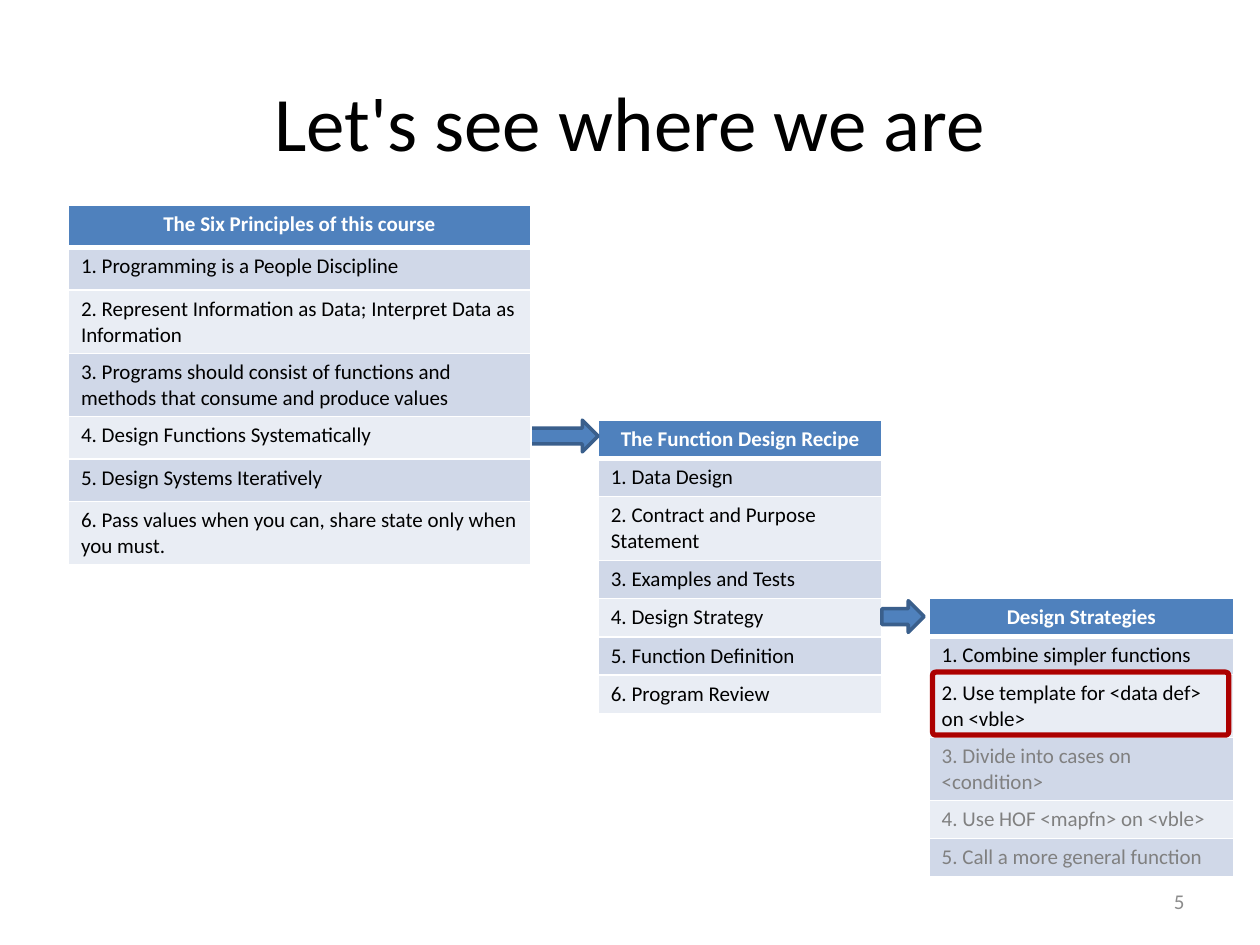
from lxml.etree import SubElement
from pptx import Presentation
from pptx.dml.color import RGBColor
from pptx.enum.shapes import MSO_SHAPE
from pptx.enum.text import MSO_ANCHOR, PP_ALIGN
from pptx.oxml.ns import qn
from pptx.util import Cm, Pt

FONT = "Calibri"
BLUE, WHITE, BLACK, GREY = "4F81BD", "FFFFFF", "000000", "808080"
BANDS = ("E9EDF4", "D0D8E8")  # even rows, odd rows

PRINCIPLES = [
    "The Six Principles of this course",
    "1. Programming is a People Discipline",
    "2. Represent Information as Data; Interpret Data as Information",
    "3. Programs should consist of functions and methods that consume and produce values",
    "4. Design Functions Systematically",
    "5. Design Systems Iteratively",
    "6. Pass values when you can, share state only when you must.",
]
RECIPE = [
    "The Function Design Recipe",
    "1. Data Design",
    "2. Contract and Purpose Statement",
    "3. Examples and Tests",
    "4. Design Strategy",
    "5. Function Definition",
    "6. Program Review",
]
STRATEGIES = [
    "Design Strategies",
    "1. Combine simpler functions",
    "2. Use template for <data def> on <vble>",
    "3. Divide into cases on <condition>",
    "4. Use HOF <mapfn> on <vble>",
    "5. Call a more general function",
]


def rgb(code):
    return RGBColor.from_string(code)


def style(paragraph, size, color, align, bold=False):
    paragraph.alignment = align
    font = paragraph.font
    font.name, font.size, font.bold = FONT, Pt(size), bold
    font.color.rgb = rgb(color)


def add_borders(cell, widths):
    """Draw white borders; widths are points by side letter."""
    properties = cell._tc.get_or_add_tcPr()
    for side, width in widths.items():
        line = SubElement(properties, qn(f"a:ln{side}"), w=str(Pt(width)))
        fill = SubElement(line, qn("a:solidFill"))
        SubElement(fill, qn("a:srgbClr"), val=WHITE)


def add_list_table(slide, left, top, width, heights, lines, active=None):
    """One-column table with a header; items after number active are grey."""
    active = len(lines) if active is None else active
    table = slide.shapes.add_table(
        len(lines), 1, Cm(left), Cm(top), Cm(width), Cm(sum(heights))).table
    for number, (line, height) in enumerate(zip(lines, heights)):
        header = number == 0
        table.rows[number].height = Cm(height)
        cell = table.cell(number, 0)
        cell.text = line
        add_borders(cell, {"L": 1, "R": 1, "T": 3 if number == 1 else 1,
                           "B": 3 if header else 1})
        cell.fill.solid()
        cell.fill.fore_color.rgb = rgb(BLUE if header else BANDS[number % 2])
        if header:
            color, align = WHITE, PP_ALIGN.CENTER
        else:
            color = BLACK if number <= active else GREY
            align = PP_ALIGN.LEFT
        style(cell.text_frame.paragraphs[0], 12, color, align, header)


def add_outlined(slide, kind, box, line, width, fill=None):
    shape = slide.shapes.add_shape(kind, *map(Cm, box))
    shape.shadow.inherit = False
    if fill:
        shape.fill.solid()
        shape.fill.fore_color.rgb = rgb(fill)
    else:
        shape.fill.background()
    shape.line.color.rgb = rgb(line)
    shape.line.width = Pt(width)
    return shape


def add_arrow(slide, left, top, width):
    add_outlined(slide, MSO_SHAPE.RIGHT_ARROW, (left, top, width, 0.64),
                 "3A5F8C", 2, BLUE)


def set_title(slide, text):
    title = slide.shapes.title
    title.left, title.top, title.width, title.height = map(
        Cm, (1.27, 0.85, 22.86, 3.18))
    title.text_frame.text = text
    title.text_frame.vertical_anchor = MSO_ANCHOR.MIDDLE
    style(title.text_frame.paragraphs[0], 44, BLACK, PP_ALIGN.CENTER)


def add_page_number(slide, number):
    frame = slide.shapes.add_textbox(
        Cm(18.21), Cm(17.65), Cm(5.92), Cm(1.02)).text_frame
    frame.word_wrap = True
    frame.vertical_anchor = MSO_ANCHOR.MIDDLE
    frame.text = number
    style(frame.paragraphs[0], 12, "8C8C8C", PP_ALIGN.RIGHT)


def main():
    presentation = Presentation()
    presentation.slide_width, presentation.slide_height = Cm(25.4), Cm(19.05)
    slide = presentation.slides.add_slide(presentation.slide_layouts[5])
    set_title(slide, "Let's see where we are")

    # Design recipe, reached from principle 4
    add_list_table(slide, 12.06, 8.47, 5.72,
                   [0.74, 0.74, 0.79, 0.74, 0.74, 0.74, 0.74], RECIPE)
    add_arrow(slide, 10.58, 8.47, 1.48)
    add_page_number(slide, "5")

    # Course principles
    add_list_table(slide, 1.38, 4.13, 9.32,
                   [0.86, 0.86, 1.04, 1.07, 0.86, 0.86, 1.04], PRINCIPLES)

    # Design strategies, reached from recipe step 4
    add_arrow(slide, 17.78, 12.11, 0.85)
    add_list_table(slide, 18.73, 12.07, 6.14, [0.74] * len(STRATEGIES),
                   STRATEGIES, active=2)

    # Frame around the current strategy
    current = add_outlined(slide, MSO_SHAPE.ROUNDED_RECTANGLE,
                           (18.8, 13.55, 5.97, 1.27), "AC0000", 3)
    current.adjustments[0] = 0.05

    presentation.save("out.pptx")


if __name__ == "__main__":
    main()
